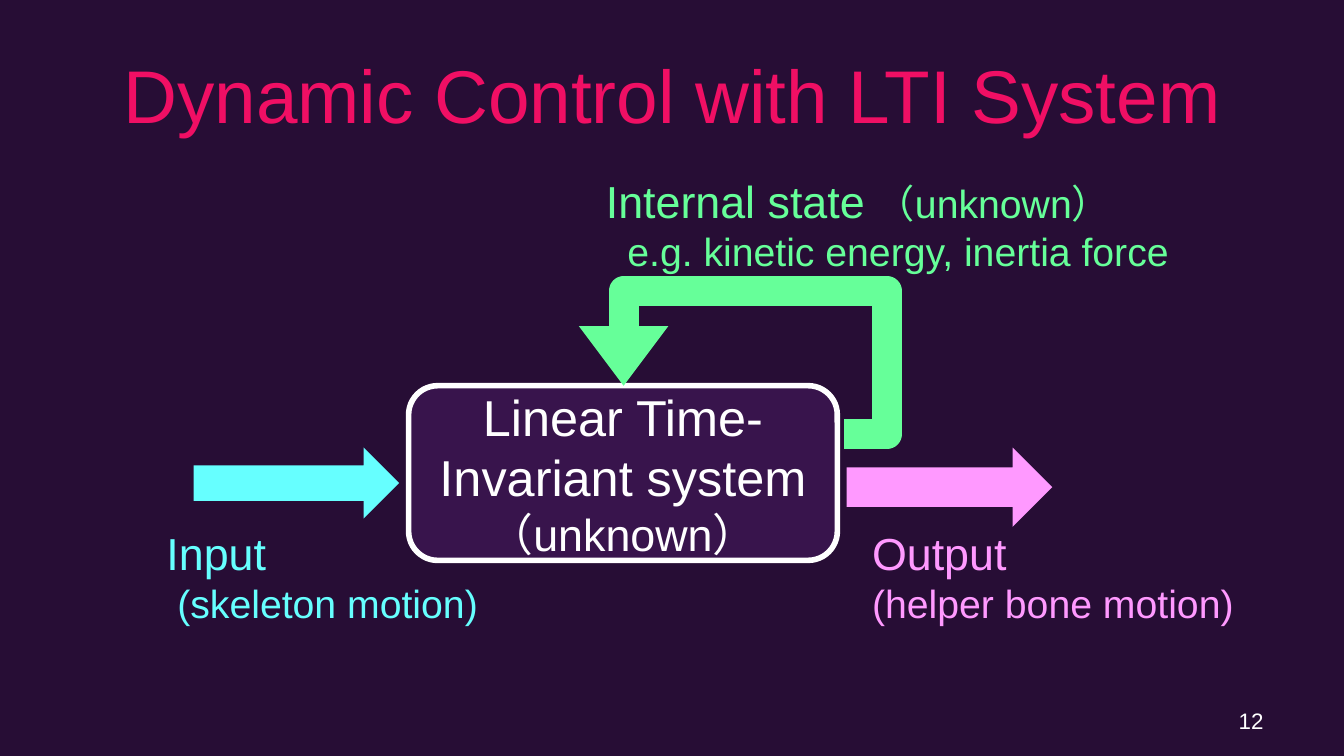
import pptx
import pptx.util
import pptx.dml.color
import pptx.enum.shapes
import pptx.enum.text
import pptx.oxml
import pptx.oxml.ns
from pptx.util import Inches

FORM = pptx.enum.shapes.MSO_SHAPE
SIDE = pptx.enum.text.PP_ALIGN
MID = pptx.enum.text.MSO_ANCHOR.MIDDLE
WHITE, GREEN, PINK, CYAN = "FFFFFF", "66FF99", "FF99FF", "66FFFF"


def tint(part, color):
    """Fill a shape or background with a solid hex colour."""
    part.fill.solid()
    part.fill.fore_color.rgb = pptx.dml.color.RGBColor.from_string(color)


def write(frame, lines, color, sides):
    """Write lines of (text, size) runs, each line with its alignment."""
    for i, (line, side) in enumerate(zip(lines, sides)):
        para = frame.add_paragraph() if i else frame.paragraphs[0]
        para.alignment = side
        for text, size in line:
            run = para.add_run()
            run.text = text
            run.font.name = "Arial"
            run.font.size = pptx.util.Pt(size)
            tint(run.font, color)


def label(slide, place, lines, color, sides, wrap=False, anchor=None):
    """Add a text box and return its frame."""
    frame = slide.shapes.add_textbox(*map(Inches, place)).text_frame
    frame.word_wrap = wrap
    if anchor is not None:
        frame.vertical_anchor = anchor
    write(frame, lines, color, sides)
    return frame


def block(slide, form, place, color):
    """Add a filled preset shape without outline or shadow."""
    shape = slide.shapes.add_shape(form, *map(Inches, place))
    shape.shadow.inherit = False
    tint(shape, color)
    shape.line.fill.background()
    return shape


def system(slide):
    """Add the outlined box for the unknown system."""
    box = block(slide, FORM.ROUNDED_RECTANGLE, (3.04, 2.87, 3.19, 1.3), "38144C")
    tint(box.line, WHITE)
    box.line.width = pptx.util.Pt(3)
    box.text_frame.word_wrap = True
    box.text_frame.vertical_anchor = MID
    lines = [[("Linear Time-Invariant system", 27)], [("（unknown）", 24)]]
    write(box.text_frame, lines, WHITE, [SIDE.CENTER] * 2)


def loop(slide):
    """Add the bent feedback arrow from the box side back to its top."""
    kind = pptx.enum.shapes.MSO_CONNECTOR.ELBOW
    ends = map(Inches, (4.64, 2.87, 6.28, 3.23))
    arrow = slide.shapes.add_connector(kind, *ends)
    tint(arrow.line, GREEN)
    arrow.line.width = pptx.util.Pt(16)
    props = arrow._element.spPr
    props.find(pptx.oxml.ns.qn("a:xfrm")).set("rot", "10800000")
    shape = props.find(pptx.oxml.ns.qn("a:prstGeom"))
    shape.set("prst", "bentConnector4")
    guides = shape.get_or_add_avLst()
    for name, value in (("adj1", -19500), ("adj2", 296000)):
        guide = pptx.oxml.ns.qn("a:gd")
        guides.append(guides.makeelement(guide, {"name": name, "fmla": f"val {value}"}))
    line = arrow.line._ln
    head = {"type": "triangle", "w": "med", "len": "sm"}
    line.append(line.makeelement(pptx.oxml.ns.qn("a:tailEnd"), head))
    props.append(props.makeelement(pptx.oxml.ns.qn("a:effectLst"), {}))


def main():
    """Build the slide and save it."""
    deck = pptx.Presentation()
    deck.slide_width = Inches(10)
    deck.slide_height = deck.slide_width * 9 // 16
    slide = deck.slides.add_slide(deck.slide_layouts[6])
    tint(slide.background, "270D35")
    label(slide, (0.5, 0.23, 9, 0.94), [[("Dynamic Control with LTI System", 40)]],
          "F00F64", [SIDE.CENTER], True, MID)
    label(slide, (7.17, 5.21, 2.33, 0.3), [[("12", 12)]],
          WHITE, [SIDE.RIGHT], True, MID)
    system(slide)
    block(slide, FORM.RIGHT_ARROW, (6.3, 3.33, 1.53, 0.59), PINK)
    block(slide, FORM.RIGHT_ARROW, (1.44, 3.33, 1.53, 0.53), CYAN)
    label(slide, (6.39, 3.86, 2.91, 0.86),
          [[("Output", 24)], [("(helper bone motion)", 21)]], PINK, [SIDE.LEFT] * 2)
    label(slide, (1.14, 3.86, 2.55, 0.86),
          [[("Input", 24)], [(" (skeleton motion)", 21)]],
          CYAN, [SIDE.LEFT, SIDE.CENTER])
    loop(slide)
    state = label(slide, (4.41, 1.24, 4.5, 0.86),
                  [[("Internal state", 24), (" （unknown）", 21)],
                   [("e.g. kinetic energy, inertia force", 21)]],
                  GREEN, [SIDE.LEFT] * 2)
    state.paragraphs[1]._p.get_or_add_pPr().set("marL", str(Inches(0.16)))
    deck.save("out.pptx")


if __name__ == "__main__":
    main()
